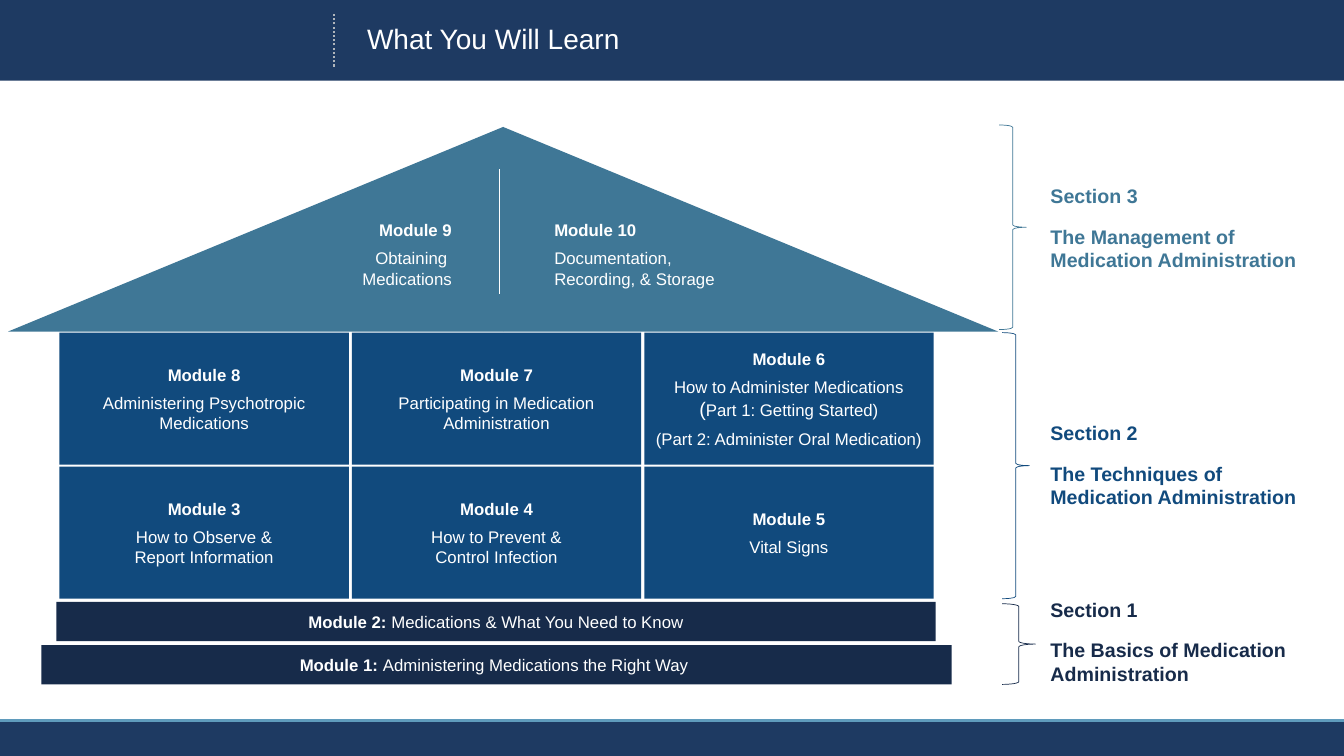
from pptx import Presentation
from pptx.dml.color import RGBColor
from pptx.enum.dml import MSO_LINE
from pptx.enum.shapes import MSO_CONNECTOR, MSO_SHAPE
from pptx.enum.text import MSO_ANCHOR, PP_ALIGN
from pptx.oxml.ns import qn
from pptx.util import Inches, Pt
from lxml.etree import SubElement

WIDTH, HEIGHT = 13.33, 7.5
BAND, WHITE = "1E3A62", "FFFFFF"
ROOF, WALL, BASE = "3F7796", "114A7D", "172B4A"

# Module rows from top to bottom: heading, then paragraphs of (text, size) spans
MODULES = [
    [("Module 8", [[("Administering Psychotropic Medications", 12)]]),
     ("Module 7", [[("Participating in Medication Administration", 12)]]),
     ("Module 6", [[("How to Administer Medications\n", 12), ("(", 14),
                    ("Part 1: Getting Started)", 12)],
                   [("(Part 2: Administer Oral Medication)", 12)]])],
    [("Module 3", [[("How to Observe &\nReport Information", 12)]]),
     ("Module 4", [[("How to Prevent &\nControl Infection", 12)]]),
     ("Module 5", [[("Vital Signs", 12)]])],
]
# Sections: colour, brace box, text box, heading, description
SECTIONS = [
    (ROOF, (9.91, 1.24, 0.27, 2.03), (10.32, 1.78, 2.82, 0.98),
     "Section 3", "The Management of Medication Administration"),
    (WALL, (9.94, 3.3, 0.27, 2.64), (10.32, 4.13, 2.9, 0.98),
     "Section 2", "The Techniques of \nMedication Administration"),
    (BASE, (9.94, 5.99, 0.33, 0.8), (10.32, 5.88, 2.77, 0.98),
     "Section 1", "The Basics of Medication Administration"),
]


def colour(value):
    return RGBColor.from_string(value)


def add_block(page, kind, box, fill=None, line=None):
    block = page.shapes.add_shape(kind, *map(Inches, box))
    block.shadow.inherit = False
    if fill:
        block.fill.solid()
        block.fill.fore_color.rgb = colour(fill)
    else:
        block.fill.background()
    if line:
        block.line.color.rgb = colour(line)
        block.line.width = Pt(0.5)
    else:
        block.line.fill.background()
    return block


def add_rule(page, start, end, tint, width, dash=None):
    rule = page.shapes.add_connector(
        MSO_CONNECTOR.STRAIGHT, *map(Inches, start + end))
    rule.line.color.rgb = colour(tint)
    rule.line.width = Pt(width)
    if dash:
        rule.line.dash_style = dash
    SubElement(rule.element.spPr, qn("a:effectLst"))


def add_label(page, box):
    return page.shapes.add_textbox(*map(Inches, box))


def write(shape, paragraphs, align, size=12, tint=WHITE, gap=3,
          anchor=MSO_ANCHOR.MIDDLE):
    """Fill a shape with paragraphs, each a list of (text, size, bold) spans."""
    frame = shape.text_frame
    frame.word_wrap = True
    frame.vertical_anchor = anchor
    for index, spans in enumerate(paragraphs):
        para = frame.add_paragraph() if index else frame.paragraphs[0]
        para.alignment = align
        para.space_before = Pt(gap if index else 0)
        para.space_after = Pt(gap if index < len(paragraphs) - 1 else 0)
        para.font.name = "Arial"
        para.font.size = Pt(size)
        para.font.color.rgb = colour(tint)
        for text, span_size, bold in spans:
            for number, part in enumerate(text.split("\n")):
                if number:
                    para.add_line_break()
                if part:
                    span = para.add_run()
                    span.text = part
                    span.font.bold = bold
                    if span_size != size:
                        span.font.size = Pt(span_size)


def module_text(heading, body):
    return [[(heading, 12, True)]] + [
        [(text, size, False) for text, size in spans] for spans in body]


def add_frame(page, title_text):
    # Header and footer bands
    footer = 7.15
    add_block(page, MSO_SHAPE.RECTANGLE, (0, footer, WIDTH, HEIGHT - footer), BAND)
    add_block(page, MSO_SHAPE.RECTANGLE, (0, 0, WIDTH, 0.8), BAND)
    add_rule(page, (0, footer), (WIDTH, footer), "5F9BBC", 2)
    add_rule(page, (3.31, 0.66), (3.31, 0.14), "B0B5BB", 1.5, MSO_LINE.ROUND_DOT)
    # Title, brought in front of the header band
    title = page.shapes.title
    title.left, title.top, title.width, title.height = map(
        Inches, (3.54, 0.12, 9.69, 0.56))
    write(title, [[(title_text, 20, False)]], PP_ALIGN.LEFT, size=20)
    title.text_frame.paragraphs[0].line_spacing = 0.9
    title.element.getparent().append(title.element)


def add_roof(page, left, top, half, height):
    ridge = left + half
    add_block(page, MSO_SHAPE.RIGHT_TRIANGLE, (ridge, top, half, height), ROOF)
    slope = add_block(page, MSO_SHAPE.RIGHT_TRIANGLE, (left, top, half, height), ROOF)
    slope.element.spPr.find(qn("a:xfrm")).set("flipH", "1")
    add_rule(page, (ridge - 0.04, top + 0.42), (ridge - 0.04, top + 1.66), WHITE, 0.5)
    # Module texts on either side of the ridge
    inset, text_width = half / 12, half / 2
    sides = [
        (ridge - inset - text_width, PP_ALIGN.RIGHT,
         "Module 9", "Obtaining \nMedications"),
        (ridge + inset, PP_ALIGN.LEFT,
         "Module 10", "Documentation, \nRecording, & Storage"),
    ]
    for text_left, align, heading, body in sides:
        label = add_label(page, (text_left, top + 0.87, text_width, 0.8))
        write(label, module_text(heading, [[(body, 12)]]), align,
              anchor=MSO_ANCHOR.TOP)


def add_walls(page, left, top, column, row):
    for r, modules in enumerate(MODULES):
        for c, (heading, body) in enumerate(modules):
            box = (left + c * column, top + r * row, column - 0.03, row - 0.02)
            cell = add_block(page, MSO_SHAPE.RECTANGLE, box, WALL)
            write(cell, module_text(heading, body), PP_ALIGN.CENTER)


def add_foundation(page):
    steps = [
        ((0.56, 5.97, 8.72, 0.39), "Module 2: ", "Medications & What You Need to Know"),
        ((0.41, 6.4, 9.03, 0.39), "Module 1: ", "Administering Medications the Right Way "),
    ]
    for box, heading, body in steps:
        step = add_block(page, MSO_SHAPE.RECTANGLE, box, BASE)
        write(step, [[(heading, 12, True), (body, 12, False)]], PP_ALIGN.CENTER)


def add_sections(page):
    for tint, brace_box, text_box, heading, body in SECTIONS:
        add_block(page, MSO_SHAPE.RIGHT_BRACE, brace_box, line=tint)
        write(add_label(page, text_box), [[(heading, 14, True)], [(body, 14, True)]],
              PP_ALIGN.LEFT, size=14, tint=tint, gap=6, anchor=MSO_ANCHOR.TOP)


def main():
    deck = Presentation()
    deck.slide_width, deck.slide_height = Inches(WIDTH), Inches(HEIGHT)
    page = deck.slides.add_slide(deck.slide_layouts.get_by_name("Title Only"))
    add_frame(page, "What You Will Learn")
    add_roof(page, 0.08, 1.26, 4.91, 2.03)
    add_walls(page, 0.59, 3.3, 2.9, 1.33)
    add_foundation(page)
    add_sections(page)
    deck.save("out.pptx")


if __name__ == "__main__":
    main()
